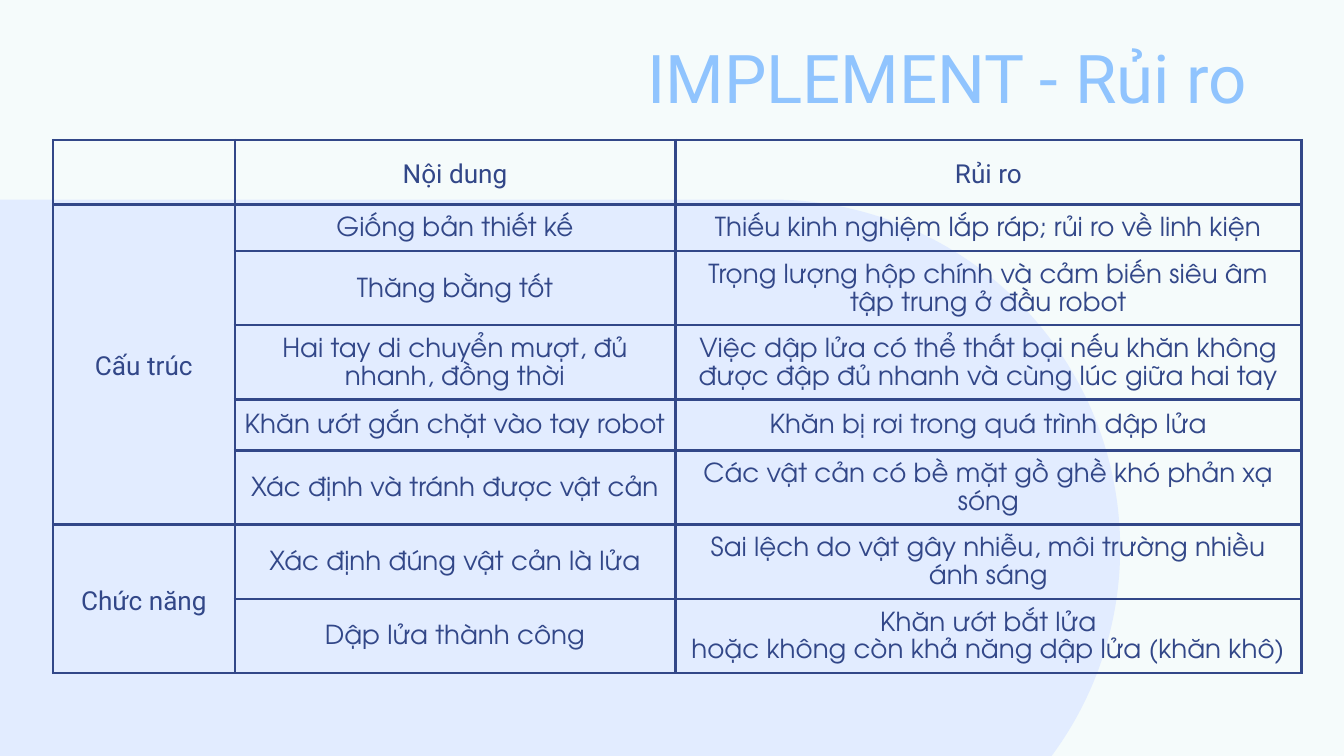
from lxml.etree import SubElement as Sub
from pptx import Presentation as Deck
from pptx.dml.color import RGBColor as Rgb
from pptx.enum.shapes import MSO_SHAPE as Kind
from pptx.enum.text import MSO_ANCHOR as Anchor, PP_ALIGN as Align
from pptx.oxml.ns import qn
from pptx.util import Pt

HUES = {"back": "F5FBFB", "disc": "E2ECFF", "ink": "324788", "title": "90C4FE"}
HEAD, BODY = "Roboto", "TeX Gyre Adventor"
TITLE = "IMPLEMENT - Rủi ro"
COLS = ["", "Nội dung", "Rủi ro"]
GROUPS = [
    ("Cấu trúc", [
        ("Giống bản thiết kế", "Thiếu kinh nghiệm lắp ráp; rủi ro về linh kiện", 24.9),
        ("Thăng bằng tốt",
         "Trọng lượng hộp chính và cảm biến siêu âm\vtập trung ở đầu robot", 39.7),
        ("Hai tay di chuyển mượt, đủ nhanh, đồng thời",
         "Việc dập lửa có thể thất bại nếu khăn không được đập đủ nhanh "
         "và cùng lúc giữa hai tay", 39.7),
        ("Khăn ướt gắn chặt vào tay robot", "Khăn bị rơi trong quá trình dập lửa", 27.3),
        ("Xác định và tránh được vật cản",
         "Các vật cản có bề mặt gồ ghề khó phản xạ sóng", 39.7),
    ]),
    ("Chức năng", [
        ("Xác định đúng vật cản là lửa",
         "Sai lệch do vật gây nhiễu, môi trường nhiều ánh sáng", 39.7),
        ("Dập lửa thành công",
         "Khăn ướt bắt lửa\vhoặc không còn khả năng dập lửa (khăn khô)", 39.7),
    ]),
]
WIDTHS = [97.4, 236, 335.4]
TOP = 34.6
SIDES = ["left", "right", "top", "bottom"]
CELL = {"vertical_anchor": Anchor.MIDDLE} | {f"margin_{s}": Pt(5) for s in SIDES}
PARA = {"alignment": Align.CENTER, "line_spacing": 1.15}
FRAME = {f"margin_{s}": Pt(7.2) for s in SIDES} | {
    "vertical_anchor": Anchor.TOP, "word_wrap": True}


def style(obj, form):
    for key, val in form.items():
        setattr(obj, key, val)


def hue(name):
    return Rgb.from_string(HUES[name])


def paint(fill, name):
    fill.solid()
    fill.fore_color.rgb = hue(name)


def ink(par, face, size, name):
    for run in par.runs:
        style(run.font, {"name": face, "size": Pt(size)})
        run.font.color.rgb = hue(name)


def edge(cell):
    props = cell._tc.get_or_add_tcPr()
    for i, side in enumerate("LRTB"):
        line = Sub(props, qn(f"a:ln{side}"), w=str(Pt(1.5)))
        fill = Sub(line, qn("a:solidFill"))
        Sub(fill, qn("a:srgbClr"), val=HUES["ink"])
        props.insert(i, line)


def write(cell, text, face):
    cell.text = text
    par = cell.text_frame.paragraphs[0]
    style(par, PARA)
    ink(par, face, 14, "ink")


deck = Deck()
style(deck, {"slide_width": Pt(720), "slide_height": Pt(405)})
slide = deck.slides.add_slide(deck.slide_layouts[5])
paint(slide.background.fill, "back")
shapes = slide.shapes

disc = shapes.add_shape(Kind.ROUND_2_SAME_RECTANGLE, Pt(113), Pt(-6.5), Pt(373.7), Pt(600.5))
disc.rotation = 90
disc.adjustments[0] = 0.5
disc.shadow.inherit = False
paint(disc.fill, "disc")
disc.line.fill.background()

rows = [row for _, part in GROUPS for row in part]
highs = [TOP] + [row[2] for row in rows]
grid = shapes.add_table(len(highs), len(COLS), Pt(28.4), Pt(75),
                        Pt(sum(WIDTHS)), Pt(sum(highs))).table
style(grid, {"first_row": False, "horz_banding": False})
for col, wide in zip(grid.columns, WIDTHS):
    col.width = Pt(wide)
for row, high in zip(grid.rows, highs):
    row.height = Pt(high)
for cell in grid.iter_cells():
    style(cell, CELL)
    cell.fill.background()
    edge(cell)

for c, text in enumerate(COLS):
    if text:
        write(grid.cell(0, c), text, HEAD)
for r, row in enumerate(rows, 1):
    for c, text in enumerate(row[:2], 1):
        write(grid.cell(r, c), text, BODY)
first = 1
for name, part in GROUPS:
    cell = grid.cell(first, 0)
    cell.merge(grid.cell(first + len(part) - 1, 0))
    write(cell, name, HEAD)
    first += len(part)

title = shapes.title
style(title, {"left": Pt(277.2), "top": Pt(12.2), "width": Pt(398.2), "height": Pt(67)})
title.text = TITLE
style(title.text_frame, FRAME)
par = title.text_frame.paragraphs[0]
par.alignment = Align.RIGHT
ink(par, HEAD, 36, "title")
shapes._spTree.append(title._element)

deck.save("out.pptx")
